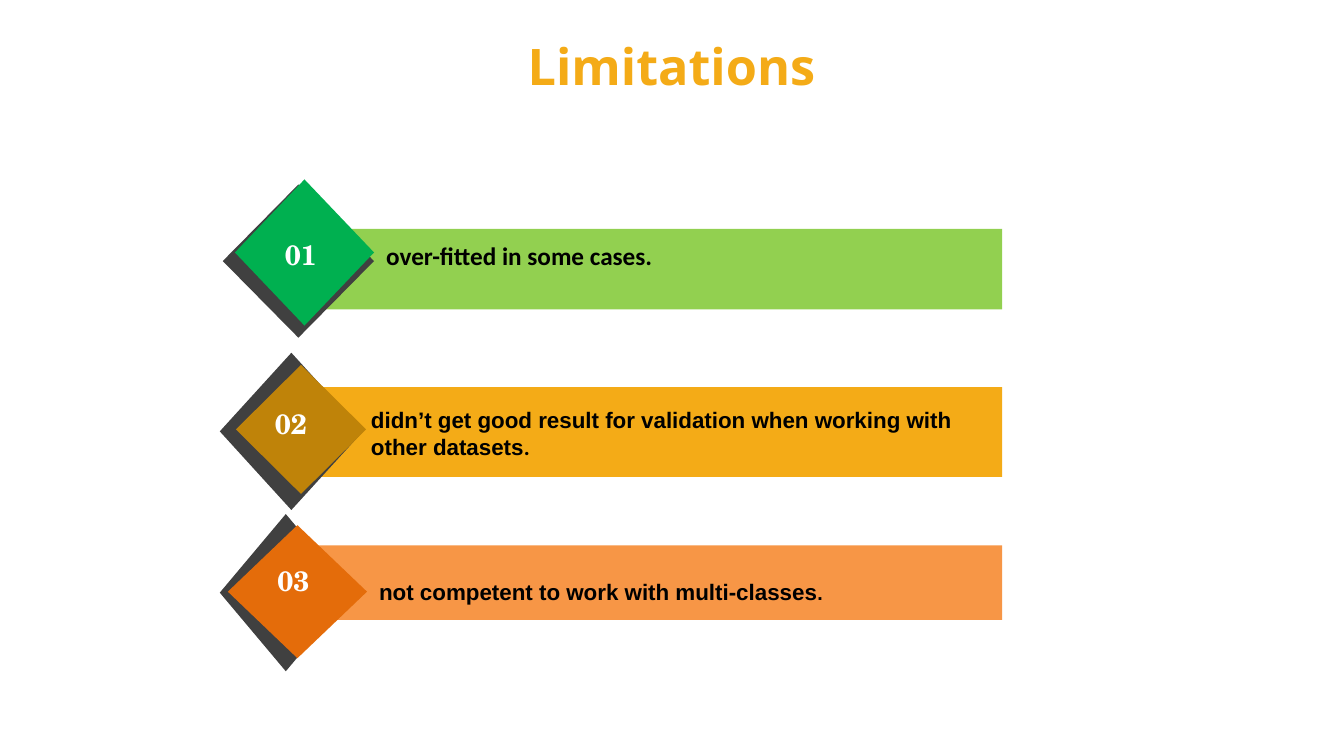
from pptx import Presentation
from pptx.dml.color import RGBColor
from pptx.enum.shapes import MSO_SHAPE
from pptx.enum.text import MSO_ANCHOR, PP_ALIGN
from pptx.util import Inches, Pt

RECT, DIAMOND = MSO_SHAPE.RECTANGLE, MSO_SHAPE.DIAMOND
TOP, MIDDLE = MSO_ANCHOR.TOP, MSO_ANCHOR.MIDDLE
LEFT, CENTER = PP_ALIGN.LEFT, PP_ALIGN.CENTER

ROW_LEFT = 2.18
SHADE = "404040"

# Part boxes are (left, top, width, height) in inches from the row's corner;
# text runs are (text, font, size)
ROWS = [
    dict(top=1.78, number="01", bar_color="92D050", face_color="00B050",
         bar=(0.76, 0.49, 7, 0.8), shade=(0.03, 0.05, 1.5, 1.52),
         face=(0.15, 0, 1.38, 1.45), label=(0.44, 0.53, 0.73, 0.53),
         text=(1.65, 0.6, 3.35, 0.57),
         runs=[("over-fitted in some cases.", "Calibri", 18)]),
    dict(top=3.5, number="02", bar_color="F4AB17", face_color="BF8309",
         bar=(0.79, 0.34, 6.97, 0.89), shade=(0, 0, 1.42, 1.56),
         face=(0.16, 0.12, 1.29, 1.28), label=(0.35, 0.48, 0.71, 0.53),
         text=(1.5, 0.53, 6.2, 0.81),
         runs=[("didn’t get good result for validation when working with "
                "other datasets", "Arial", 16), (".", "Calibri", 16)]),
    dict(top=5.1, number="03", bar_color="F79646", face_color="E46C0A",
         bar=(0.81, 0.31, 6.95, 0.74), shade=(0, 0, 1.31, 1.56),
         face=(0.08, 0.11, 1.38, 1.32), label=(0.32, 0.44, 0.82, 0.5),
         text=(1.58, 0.64, 6.12, 0.27),
         runs=[("not competent to work with multi-classes", "Arial", 16),
               (".", "Arial", 14)]),
]


def rgb(color):
    return RGBColor.from_string(color)


def add_block(slide, kind, box, color):
    sp = slide.shapes.add_shape(kind, *map(Inches, box))
    sp.shadow.inherit = False
    sp.fill.solid()
    sp.fill.fore_color.rgb = rgb(color)
    sp.line.fill.background()


def add_text(slide, box, runs, color, align=LEFT, anchor=TOP, inset=True):
    tf = slide.shapes.add_textbox(*map(Inches, box)).text_frame
    tf.word_wrap = True
    tf.vertical_anchor = anchor
    if not inset:
        tf.margin_left = tf.margin_top = tf.margin_right = tf.margin_bottom = 0
    p = tf.paragraphs[0]
    p.alignment = align
    for text, font, size in runs:
        r = p.add_run()
        r.text = text
        r.font.name = font
        r.font.size = Pt(size)
        r.font.bold = True
        r.font.color.rgb = rgb(color)


def add_title(slide, box):
    add_text(slide, box, [("Limitations", "Open Sans", 36)], "F4AB17",
             CENTER, MIDDLE)


def add_row(slide, left, row):
    def place(part):
        x, y, width, height = row[part]
        return left + x, row["top"] + y, width, height

    # Bar with the shaded diamond at its left end
    add_block(slide, RECT, place("bar"), row["bar_color"])
    add_block(slide, DIAMOND, place("shade"), SHADE)
    add_block(slide, DIAMOND, place("face"), row["face_color"])
    # Number and statement
    add_text(slide, place("label"), [(row["number"], "TeX Gyre Schola", 20)],
             "FFFFFF", CENTER)
    add_text(slide, place("text"), row["runs"], "000000", inset=False)


def main():
    prs = Presentation()
    prs.slide_width, prs.slide_height = Inches(13.33), Inches(7.5)
    s = prs.slides.add_slide(prs.slide_layouts[6])
    for row in ROWS:
        add_row(s, ROW_LEFT, row)
    add_title(s, (0.67, 0.28, 11.98, 0.74))
    prs.save("out.pptx")


if __name__ == "__main__":
    main()
